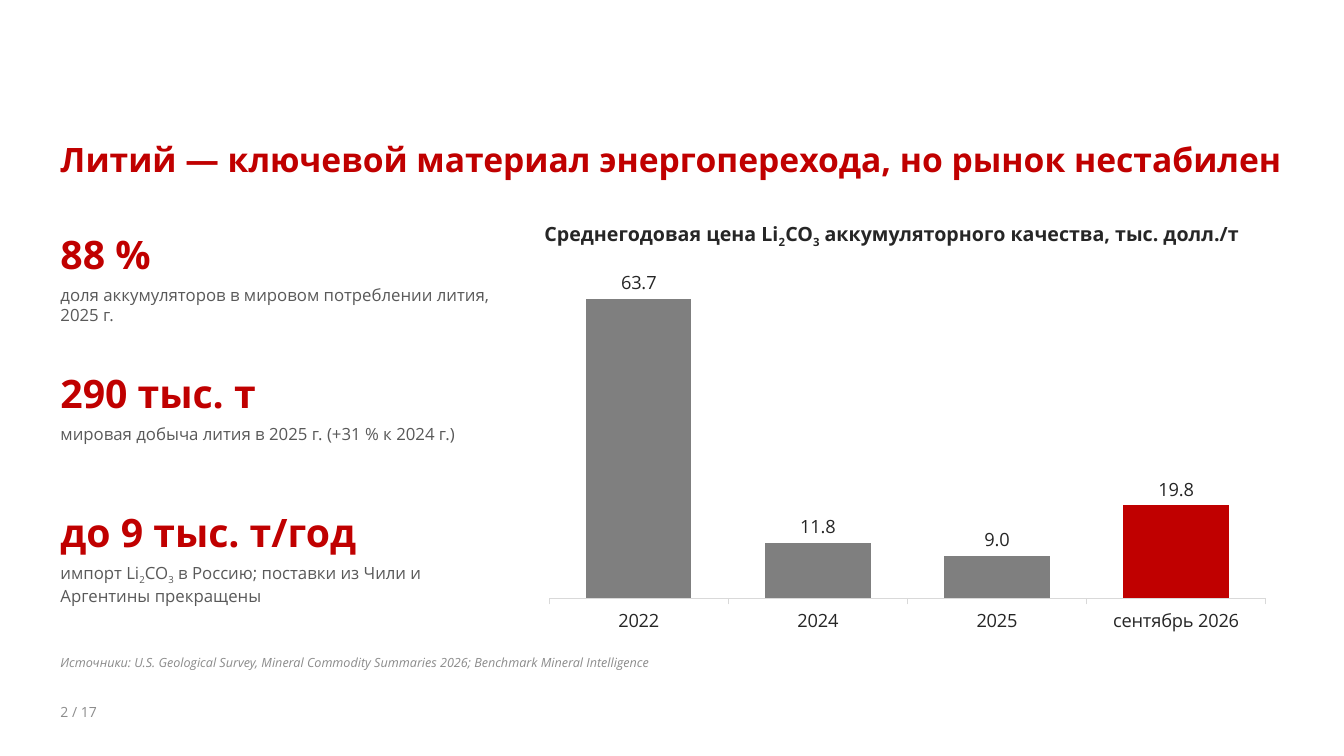
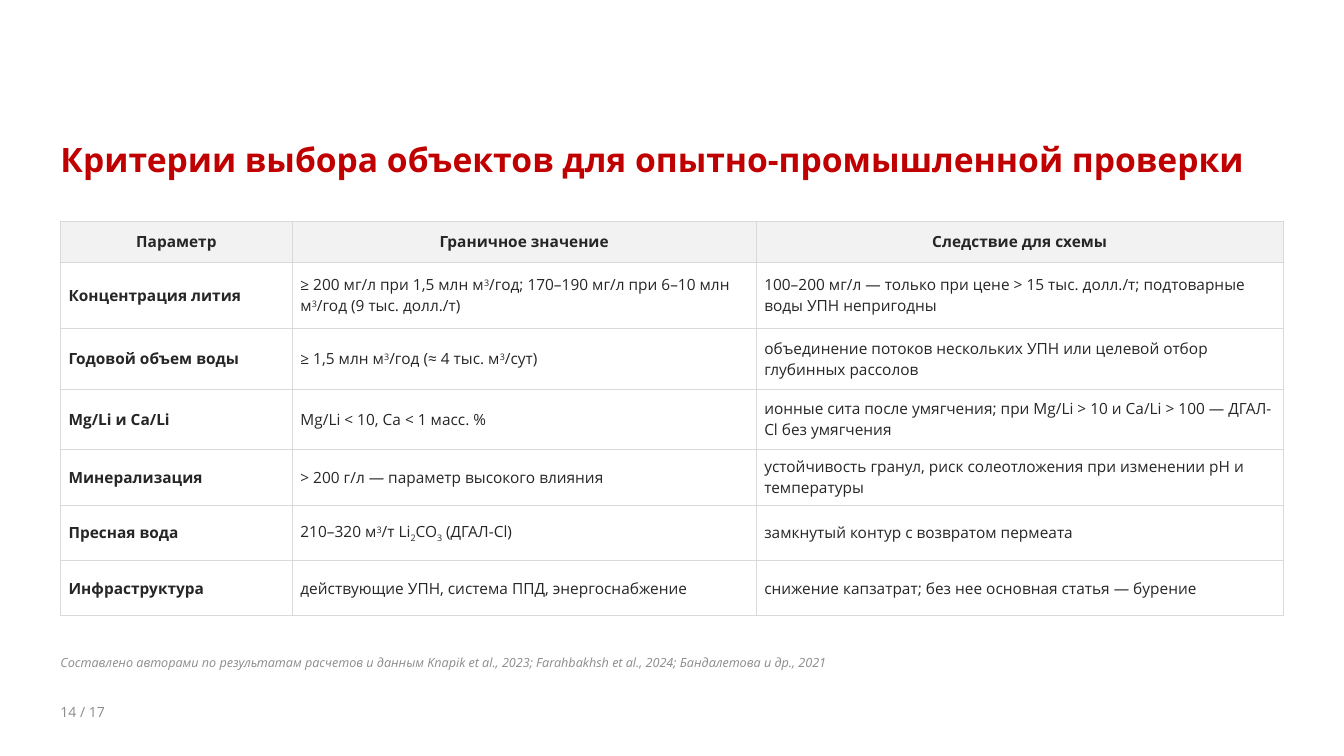
"""Builds two slides on the lithium market and the criteria for choosing test sites."""
from lxml import etree
from pptx import Presentation
from pptx.chart.data import CategoryChartData
from pptx.dml.color import RGBColor
from pptx.enum.chart import XL_CHART_TYPE, XL_LABEL_POSITION, XL_TICK_MARK
from pptx.enum.text import MSO_ANCHOR, MSO_AUTO_SIZE, PP_ALIGN
from pptx.oxml.ns import qn
from pptx.util import Inches, Pt

TOP, MIDDLE, BOTTOM = MSO_ANCHOR.TOP, MSO_ANCHOR.MIDDLE, MSO_ANCHOR.BOTTOM
LEFT, CENTER = PP_ALIGN.LEFT, PP_ALIGN.CENTER
NO_FIT = MSO_AUTO_SIZE.NONE
COLUMN_CHART = XL_CHART_TYPE.COLUMN_CLUSTERED
OUTSIDE_END = XL_LABEL_POSITION.OUTSIDE_END
TICK_OUT = XL_TICK_MARK.OUTSIDE
color = RGBColor.from_string

FONT = "Open Sans"
RED, DARK, TEXT, MUTED = "C00000", "262626", "595959", "8C8C8C"
BAR, RULE, HEADER, WHITE = "7F7F7F", "D9D9D9", "F2F2F2", "FFFFFF"
STYLES = {
    "title": ({"size": Pt(24), "bold": True}, RED),
    "number": ({"size": Pt(10)}, MUTED),
    "source": ({"size": Pt(9), "italic": True}, MUTED),
    "figure": ({"size": Pt(28), "bold": True}, RED),
    "caption": ({"size": Pt(12)}, TEXT),
    "heading": ({"size": Pt(14), "bold": True}, DARK),
    "cell": ({"size": Pt(11), "bold": False}, DARK),
    "strong": ({"size": Pt(11), "bold": True}, DARK),
}
BASELINES = {"_": "-25000", "^": "30000"}

CELL = Inches(0.1)
EDGE, FULL = 6, 121.3
BODY_TOP = 22


def write(frame, text, style, align=LEFT):
    """Fill a frame; pieces between bars that start with _ or ^ are lowered or raised."""
    para = frame.paragraphs[0]
    para.alignment = align
    values, ink = STYLES[style]
    for piece in text.split("|"):
        span = para.add_run()
        span.text = piece.lstrip("_^")
        span.font.name = FONT
        for name, value in values.items():
            setattr(span.font, name, value)
        span.font.color.rgb = color(ink)
        if piece[0] in BASELINES:
            span._r.get_or_add_rPr().set("baseline", BASELINES[piece[0]])


def put_text(page, place, text, style, anchor=TOP, box=None):
    """Put text without margins at a place given in grid cells."""
    box = box or page.shapes.add_textbox(0, 0, 0, 0)
    for name, value in zip(("left", "top", "width", "height"), place):
        setattr(box, name, int(value * CELL))
    frame = box.text_frame
    settings = {"word_wrap": True, "auto_size": NO_FIT, "vertical_anchor": anchor,
                "margin_left": 0, "margin_top": 0, "margin_right": 0, "margin_bottom": 0}
    for name, value in settings.items():
        setattr(frame, name, value)
    write(frame, text, style)


deck = Presentation()
deck.slide_width, deck.slide_height = Inches(13.33), Inches(7.5)

PAGES = [
    ("Литий — ключевой материал энергоперехода, но рынок нестабилен", "2 / 17",
     "Источники: U.S. Geological Survey, Mineral Commodity Summaries 2026; "
     "Benchmark Mineral Intelligence"),
    ("Критерии выбора объектов для опытно-промышленной проверки", "14 / 17",
     "Составлено авторами по результатам расчетов и данным Knapik et al., 2023; "
     "Farahbakhsh et al., 2024; Бандалетова и др., 2021"),
]
for title, number, source in PAGES:
    page = deck.slides.add_slide(deck.slide_layouts[5])
    put_text(page, (EDGE, 13.8, FULL, 7), title, "title", box=page.shapes.title)
    put_text(page, (EDGE, 69.8, 15, 2.5), number, "number")
    put_text(page, (EDGE, 65, 99, 4), source, "source")
market, criteria = deck.slides

FIGURES = [
    ("88 %", "доля аккумуляторов в мировом потреблении лития, 2025 г."),
    ("290 тыс. т", "мировая добыча лития в 2025 г. (+31 % к 2024 г.)"),
    ("до 9 тыс. т/год",
     "импорт Li|_2|CO|_3| в Россию; поставки из Чили и Аргентины прекращены"),
]
for index, (figure, caption) in enumerate(FIGURES):
    top = BODY_TOP + index * 13.8
    put_text(market, (EDGE, top, 43, 5.5), figure, "figure", BOTTOM)
    put_text(market, (EDGE, top + 6.2, 43, 7), caption, "caption")

put_text(market, (54, BODY_TOP, 73, 3.5),
         "Среднегодовая цена Li|_2|CO|_3| аккумуляторного качества, тыс. долл./т", "heading")
prices = CategoryChartData(number_format="0.0")
prices.categories = ["2022", "2024", "2025", "сентябрь 2026"]
prices.add_series("Series 1", (63.7, 11.8, 9, 19.8))
chart = market.shapes.add_chart(
    COLUMN_CHART, 53 * CELL, 26 * CELL, 74 * CELL, int(37.5 * CELL), prices).chart
chart.has_legend = chart.has_title = False
chart.font.name, chart.font.size = FONT, Pt(13)
chart.font.color.rgb = color(DARK)

value_axis = chart.value_axis
value_axis.visible = value_axis.has_major_gridlines = False
value_axis.minimum_scale, value_axis.maximum_scale = 0, 70
category_axis = chart.category_axis
category_axis.major_tick_mark = TICK_OUT
category_axis.format.line.color.rgb = color(RULE)
category_axis.format.line.width = Pt(0.75)

plot = chart.plots[0]
plot.gap_width, plot.vary_by_categories, plot.has_data_labels = 70, False, True
labels = plot.data_labels
label_settings = {"show_value": True, "position": OUTSIDE_END,
                  "number_format": "0.0", "number_format_is_linked": False}
for name, value in label_settings.items():
    setattr(labels, name, value)
labels.font.size = Pt(13)
bars = plot.series[0]
for bar, ink in ((bars, BAR), (bars.points[3], RED)):
    bar.format.fill.solid()
    bar.format.fill.fore_color.rgb = color(ink)

ROWS = [
    ("Параметр", "Граничное значение", "Следствие для схемы"),
    ("Концентрация лития",
     "≥ 200 мг/л при 1,5 млн м|^3|/год; 170–190 мг/л при 6–10 млн м|^3|/год (9 тыс. долл./т)",
     "100–200 мг/л — только при цене > 15 тыс. долл./т; подтоварные воды УПН непригодны"),
    ("Годовой объем воды",
     "≥ 1,5 млн м|^3|/год (≈ 4 тыс. м|^3|/сут)",
     "объединение потоков нескольких УПН или целевой отбор глубинных рассолов"),
    ("Mg/Li и Ca/Li",
     "Mg/Li < 10, Ca < 1 масс. %",
     "ионные сита после умягчения; при Mg/Li > 10 и Ca/Li > 100 — ДГАЛ-Cl без умягчения"),
    ("Минерализация",
     "> 200 г/л — параметр высокого влияния",
     "устойчивость гранул, риск солеотложения при изменении pH и температуры"),
    ("Пресная вода",
     "210–320 м|^3|/т Li|_2|CO|_3| (ДГАЛ-Cl)",
     "замкнутый контур с возвратом пермеата"),
    ("Инфраструктура",
     "действующие УПН, система ППД, энергоснабжение",
     "снижение капзатрат; без нее основная статья — бурение"),
]
WIDTHS = (23, 46, 52.3)
HEIGHTS = (4, 6.6, 6, 6, 5.5, 5.5, 5.5)
CELL_SETTINGS = {"vertical_anchor": MIDDLE,
                 "margin_left": Inches(0.08), "margin_right": Inches(0.08),
                 "margin_top": Inches(0.03), "margin_bottom": Inches(0.03)}

table = criteria.shapes.add_table(
    len(ROWS), len(WIDTHS), EDGE * CELL, BODY_TOP * CELL,
    int(FULL * CELL), int(sum(HEIGHTS) * CELL)).table
table.first_row = table.horz_banding = False
for column, width in zip(table.columns, WIDTHS):
    column.width = int(width * CELL)
for row, height in zip(table.rows, HEIGHTS):
    row.height = int(height * CELL)

for row_index, texts in enumerate(ROWS):
    is_header = row_index == 0
    for column_index, text in enumerate(texts):
        cell = table.cell(row_index, column_index)
        for name, value in CELL_SETTINGS.items():
            setattr(cell, name, value)
        style = "strong" if is_header or column_index == 0 else "cell"
        write(cell.text_frame, text, style, CENTER if is_header else LEFT)
        properties = cell._tc.get_or_add_tcPr()
        for side in ("a:lnL", "a:lnR", "a:lnT", "a:lnB"):
            border = etree.SubElement(properties, qn(side), w=str(Pt(0.75)))
            paint = etree.SubElement(border, qn("a:solidFill"))
            etree.SubElement(paint, qn("a:srgbClr"), val=RULE)
        cell.fill.solid()
        cell.fill.fore_color.rgb = color(HEADER if is_header else WHITE)

deck.save("out.pptx")
